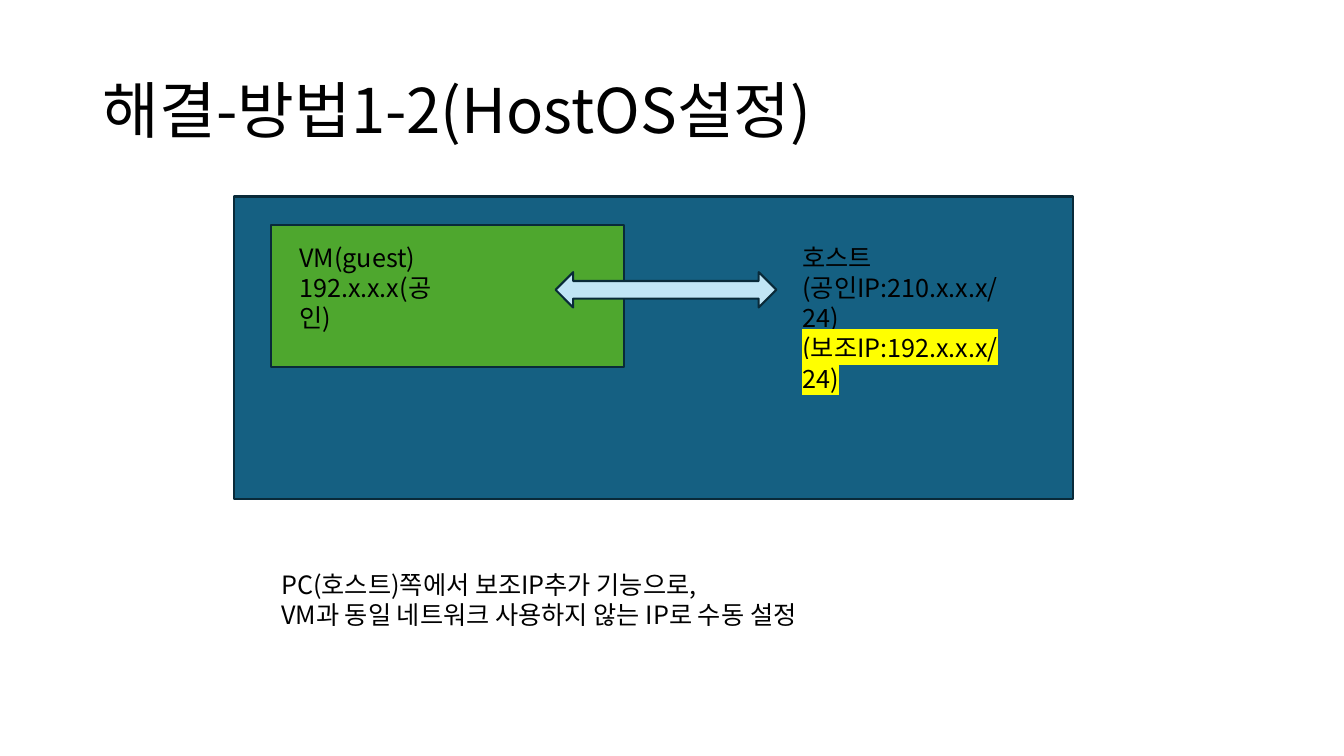
import pptx
import pptx.util
import pptx.dml.color
import pptx.enum.shapes
import pptx.enum.text
import pptx.oxml.ns
import lxml.etree

Inches = pptx.util.Inches
SHAPE = pptx.enum.shapes.MSO_SHAPE
FONT = "Noto Sans CJK KR"
BLACK = "000000"
OUTLINE = "092A39"
YELLOW = "FFFF00"


def rgb(color):
    return pptx.dml.color.RGBColor.from_string(color)


def add_xml(parent, tag, **attributes):
    return lxml.etree.SubElement(parent, pptx.oxml.ns.qn(tag), attributes)


def add_block(s, kind, left, top, width, height, fill):
    sp = s.shapes.add_shape(kind, Inches(left), Inches(top), Inches(width), Inches(height))
    sp.shadow.inherit = False
    sp.fill.solid()
    sp.fill.fore_color.rgb = rgb(fill)
    sp.line.color.rgb = rgb(OUTLINE)
    sp.line.width = pptx.util.Pt(1.5)


def format_run(r, size, highlight=None):
    r.font.size = pptx.util.Pt(size)
    r.font.color.rgb = rgb(BLACK)
    properties = r._r.get_or_add_rPr()
    if highlight:
        add_xml(add_xml(properties, "a:highlight"), "a:srgbClr", val=highlight)
    for tag in ("a:latin", "a:ea"):
        add_xml(properties, tag, typeface=FONT)


def add_text(s, left, top, width, height, lines, size=18, highlighted=None):
    """Add one paragraph per line; highlighted is the index of the marked line."""
    sp = s.shapes.add_textbox(Inches(left), Inches(top), Inches(width), Inches(height))
    tf = sp.text_frame
    tf.word_wrap = True
    tf.text = "\n".join(lines)
    for i, p in enumerate(tf.paragraphs):
        for r in p.runs:
            format_run(r, size, YELLOW if i == highlighted else None)
    return tf


def add_title(s, title):
    tf = add_text(s, 0.92, 0.4, 11.5, 1.45, [title], size=44)
    tf.vertical_anchor = pptx.enum.text.MSO_ANCHOR.MIDDLE
    tf.paragraphs[0].line_spacing = 0.9


def main():
    prs = pptx.Presentation()
    prs.slide_width = Inches(13.33)
    prs.slide_height = Inches(7.5)
    s = prs.slides.add_slide(prs.slide_layouts[6])

    add_title(s, "해결-방법1-2(HostOS설정)")
    add_block(s, SHAPE.RECTANGLE, 2.32, 1.95, 8.32, 3, "156082")
    add_block(s, SHAPE.RECTANGLE, 2.69, 2.23, 3.5, 1.41, "4EA72E")
    add_text(s, 2.87, 2.35, 1.8, 0.71, ["VM(guest)", "192.x.x.x(공인)"])
    add_text(s, 7.86, 2.35, 2.44, 1.01,
             ["호스트", "(공인IP:210.x.x.x/24)", "(보조IP:192.x.x.x/24)"], highlighted=2)
    add_block(s, SHAPE.LEFT_RIGHT_ARROW, 5.51, 2.7, 2.19, 0.35, "C1E5F5")
    add_text(s, 2.69, 5.6, 5.97, 0.71,
             ["PC(호스트)쪽에서 보조IP추가 기능으로,",
              "VM과 동일 네트워크 사용하지 않는 IP로 수동 설정"])

    prs.save("out.pptx")


if __name__ == "__main__":
    main()
